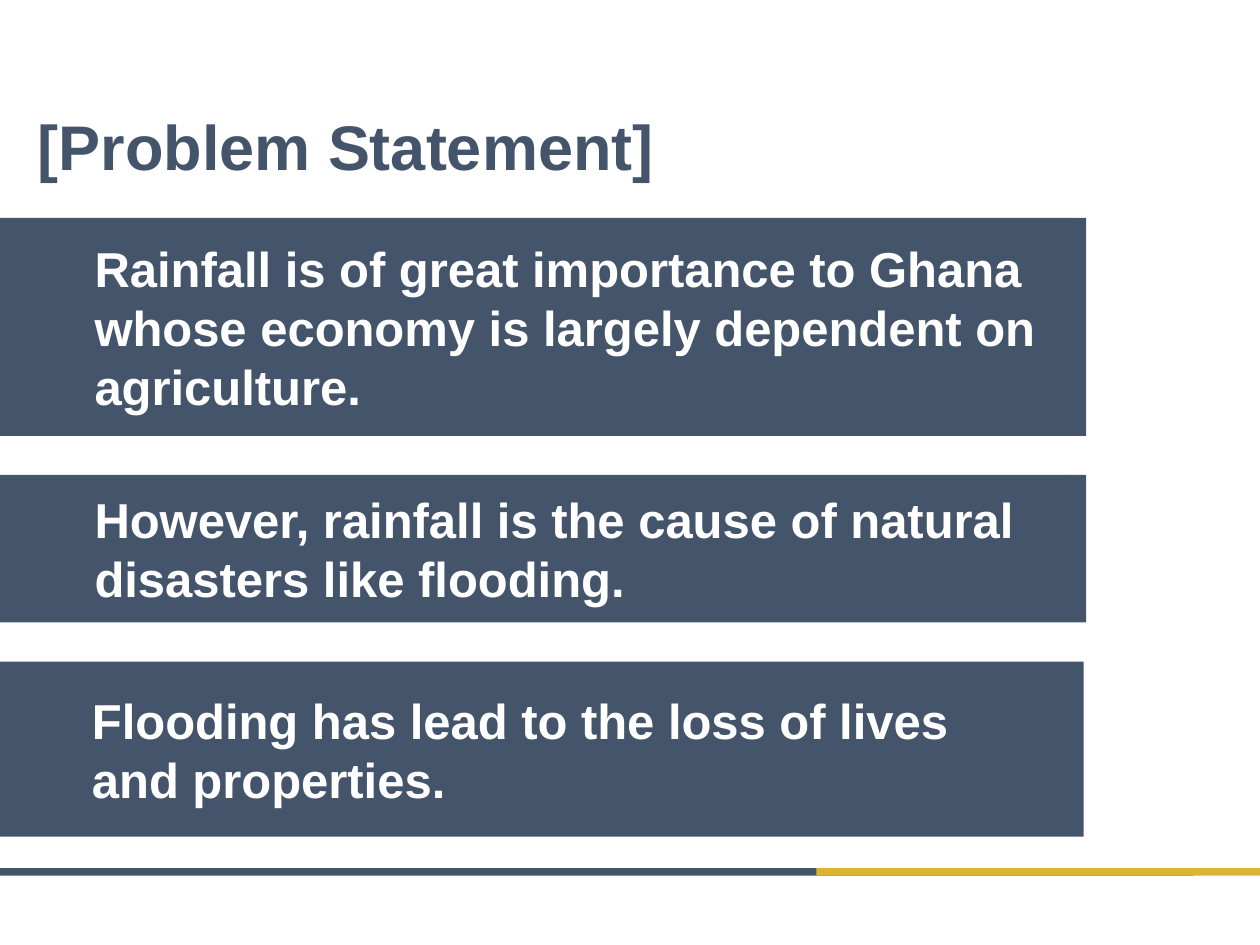
from pptx import Presentation
from pptx.dml.color import RGBColor
from pptx.enum.shapes import MSO_SHAPE
from pptx.enum.text import MSO_ANCHOR, PP_ALIGN
from pptx.util import Inches, Pt

RECTANGLE = MSO_SHAPE.RECTANGLE
MIDDLE = MSO_ANCHOR.MIDDLE
LEFT = PP_ALIGN.LEFT

FONT = "Arial"
SLATE, GOLD, WHITE = "44546A", "DCB434", "FFFFFF"

TITLE = "[Problem Statement]"
STATEMENTS = [
    ("Rainfall is of great importance to Ghana whose economy is largely "
     "dependent on agriculture.\u00a0", 0, 1.73),
    ("However, rainfall is the cause of natural disasters like flooding.", 0, 1.17),
    ("Flooding has lead to the loss of lives and properties.", -0.02, 1.39),
]
FOOTER_STRIPES = [(0, 9.47, SLATE), (6.48, 3.52, GOLD)]

BANNER_TOP, BANNER_WIDTH, BANNER_GAP = 1.73, 8.62, 0.31
STRIPE_TOP, STRIPE_HEIGHT = 6.89, 0.06


def color(hex_value):
    return RGBColor.from_string(hex_value)


def add_block(slide, left, top, width, height, fill):
    block = slide.shapes.add_shape(
        RECTANGLE, Inches(left), Inches(top), Inches(width), Inches(height))
    block.shadow.inherit = False
    block.fill.solid()
    block.fill.fore_color.rgb = color(fill)
    block.line.fill.background()
    return block


def write(shape, text, size, hex_value, left_inset, right_inset):
    frame = shape.text_frame
    frame.word_wrap = True
    frame.vertical_anchor = MIDDLE
    frame.margin_left, frame.margin_right = Inches(left_inset), Inches(right_inset)
    frame.margin_top = frame.margin_bottom = Inches(0.05)
    paragraph = frame.paragraphs[0]
    paragraph.alignment = LEFT
    run = paragraph.add_run()
    run.text = text
    run.font.name = FONT
    run.font.size = Pt(size)
    run.font.bold = True
    run.font.color.rgb = color(hex_value)


def main():
    deck = Presentation()
    deck.slide_width, deck.slide_height = Inches(10), Inches(7.5)
    slide = deck.slides.add_slide(deck.slide_layouts[5])

    for left, width, fill in FOOTER_STRIPES:
        add_block(slide, left, STRIPE_TOP, width, STRIPE_HEIGHT, fill)

    title = slide.shapes.title
    title.left, title.top = Inches(0.2), Inches(0.88)
    title.width, title.height = Inches(8.9), Inches(0.54)
    write(title, TITLE, 36, SLATE, 0.1, 0.1)

    top = BANNER_TOP
    for statement, left, height in STATEMENTS:
        banner = add_block(slide, left, top, BANNER_WIDTH, height, SLATE)
        write(banner, statement, 28, WHITE, 0.75, 0.28)
        top += height + BANNER_GAP

    deck.save("out.pptx")


if __name__ == "__main__":
    main()
